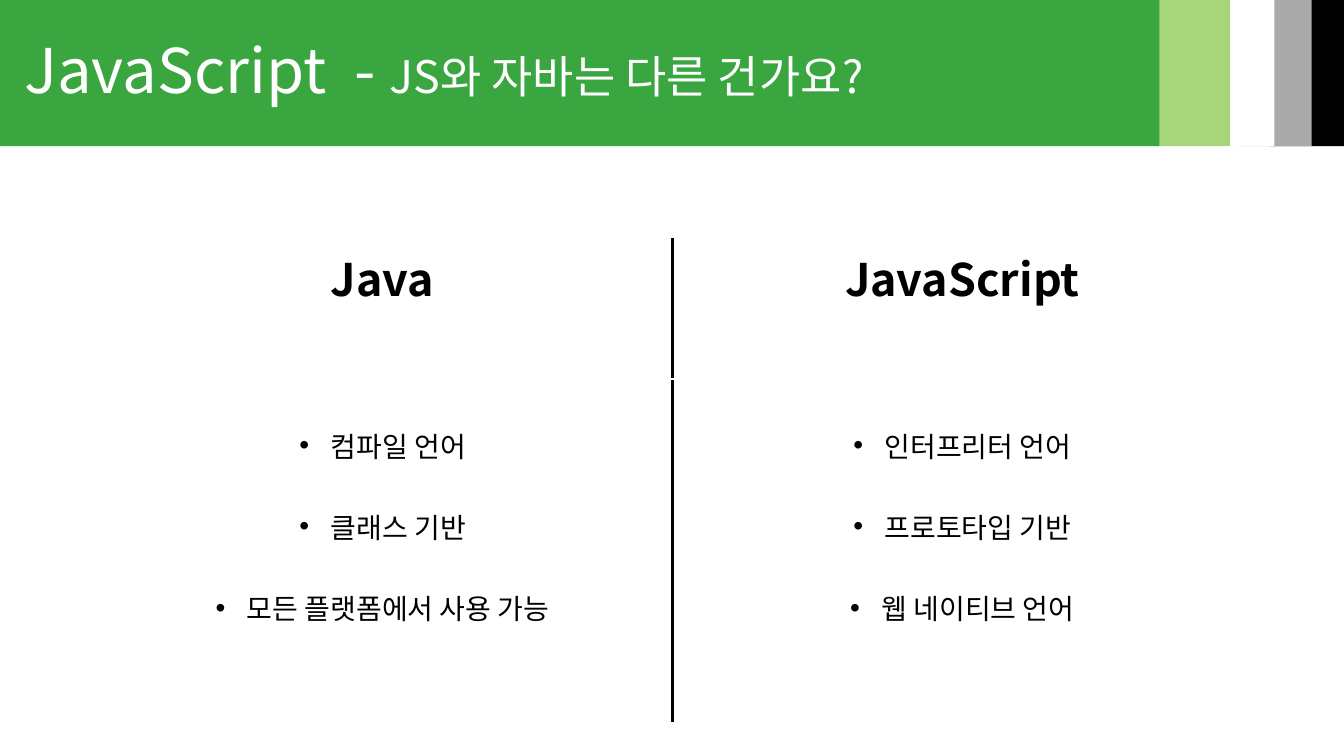
"""Builds the slide that compares Java with JavaScript."""
import dataclasses

import pptx
import pptx.dml.color
import pptx.enum.shapes
import pptx.enum.text
import pptx.oxml
import pptx.oxml.ns
import pptx.util
from pptx.util import Inches

FONT = "Noto Sans CJK KR"
COLORS = {
    "black": "000000",
    "gray": "AAAAAA",
    "white": "FFFFFF",
    "light_green": "A8D47A",
    "green": "3AA63F",
}
BAND_HEIGHT = Inches(1.45)
STRIPE_WIDTH = Inches(0.74)
BULLET_INDENT = Inches(0.31)
DIVIDER_WIDTH = pptx.util.Pt(2.25)


@dataclasses.dataclass(frozen=True)
class Stripe:
    left: float
    color: str


@dataclasses.dataclass(frozen=True)
class Language:
    name: str
    traits: tuple[str, ...]
    divider_side: str


STRIPES = (
    Stripe(12.59, "black"),
    Stripe(12.27, "gray"),
    Stripe(11.9, "white"),
    Stripe(11.46, "light_green"),
)
LANGUAGES = (
    Language("Java", ("컴파일 언어", "클래스 기반", "모든 플랫폼에서 사용 가능"), "R"),
    Language("JavaScript", ("인터프리터 언어", "프로토타입 기반", "웹 네이티브 언어"), "L"),
)


def paint(fill, color: str) -> None:
    fill.solid()
    fill.fore_color.rgb = pptx.dml.color.RGBColor.from_string(COLORS[color])


def write(paragraph, text: str, *, size: float, color: str = "black", bold: bool = False,
          align=pptx.enum.text.PP_ALIGN.CENTER, spacing: float = 1.0, bullet: bool = False) -> None:
    paragraph.alignment = align
    paragraph.line_spacing = spacing
    if bullet:
        properties = paragraph._p.get_or_add_pPr()
        properties.set("marL", str(BULLET_INDENT))
        properties.set("indent", str(-BULLET_INDENT))
        pptx.oxml.ns.qn("a:buChar")
        properties.append(pptx.oxml.parse_xml(
            f'<a:buFont {pptx.oxml.ns.nsdecls("a")} typeface="Arial"/>'))
        properties.append(pptx.oxml.parse_xml(
            f'<a:buChar {pptx.oxml.ns.nsdecls("a")} char="•"/>'))
    run = paragraph.add_run()
    run.text = text
    run.font.name = FONT
    run.font.size = pptx.util.Pt(size)
    run.font.bold = bold
    paint(run.font.fill, color)
    run.font._element.find(pptx.oxml.ns.qn("a:latin")).addnext(pptx.oxml.parse_xml(
        f'<a:ea {pptx.oxml.ns.nsdecls("a")} typeface="{FONT}"/>'))


def draw_stripe(slide, stripe: Stripe) -> None:
    band = slide.shapes.add_shape(pptx.enum.shapes.MSO_SHAPE.RECTANGLE,
                                  Inches(stripe.left), 0, STRIPE_WIDTH, BAND_HEIGHT)
    band.shadow.inherit = False
    band.line.fill.background()
    paint(band.fill, stripe.color)


def draw_title(slide) -> None:
    title = slide.shapes.title
    title.left, title.top, title.width, title.height = 0, 0, Inches(11.5), BAND_HEIGHT
    paint(title.fill, "green")
    frame = title.text_frame
    frame.margin_left = Inches(0.24)
    frame.vertical_anchor = pptx.enum.text.MSO_ANCHOR.MIDDLE
    for text, size in (("JavaScript  - ", 44), ("JS와 자바는 다른 건가요?", 32)):
        write(frame.paragraphs[0], text, size=size, color="white",
              align=pptx.enum.text.PP_ALIGN.LEFT, spacing=0.9)
    slide.shapes._spTree.append(title._element)


def add_divider(cell, side: str) -> None:
    cell._tc.get_or_add_tcPr().insert(0, pptx.oxml.parse_xml(
        f'<a:ln{side} {pptx.oxml.ns.nsdecls("a")} w="{DIVIDER_WIDTH}"><a:solidFill>'
        f'<a:srgbClr val="{COLORS["black"]}"/></a:solidFill></a:ln{side}>'))


def draw_comparison(slide) -> None:
    comparison = slide.shapes.add_table(2, len(LANGUAGES), Inches(0.92), Inches(2.37),
                                        Inches(11.5), Inches(4.8)).table
    comparison.first_row = comparison.horz_banding = False
    comparison.rows[0].height, comparison.rows[1].height = Inches(1.39), Inches(3.41)
    for column, language in enumerate(LANGUAGES):
        heading, details = comparison.cell(0, column), comparison.cell(1, column)
        for cell in (heading, details):
            paint(cell.fill, "white")
            add_divider(cell, language.divider_side)
        write(heading.text_frame.paragraphs[0], language.name, size=32, bold=True)
        for index, trait in enumerate(language.traits):
            frame = details.text_frame
            paragraph = frame.add_paragraph() if index else frame.paragraphs[0]
            write(paragraph, trait, size=20, spacing=2.0, bullet=True)


def main() -> None:
    presentation = pptx.Presentation()
    presentation.slide_width, presentation.slide_height = Inches(13.33), Inches(7.5)
    slide = presentation.slides.add_slide(presentation.slide_layouts[5])
    for stripe in STRIPES:
        draw_stripe(slide, stripe)
    draw_title(slide)
    draw_comparison(slide)
    presentation.save("out.pptx")


main()
